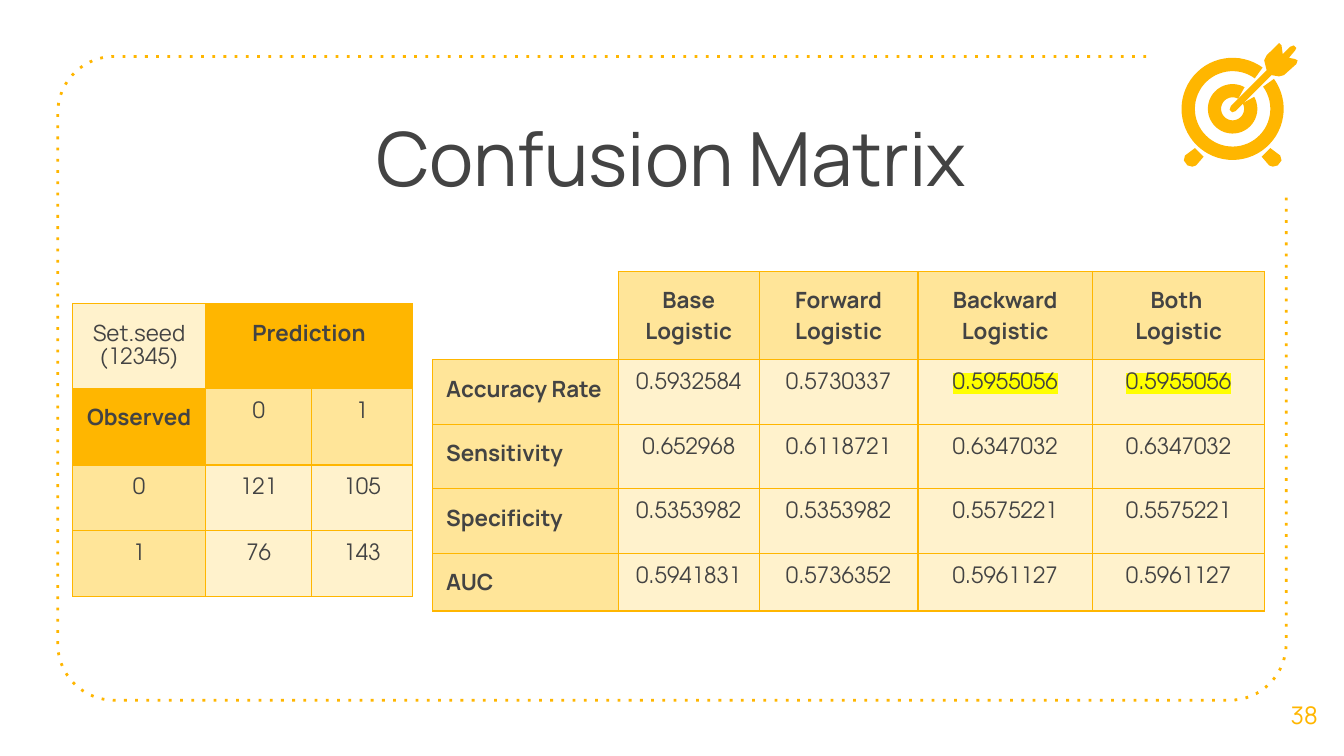
from dataclasses import dataclass
from itertools import cycle
from math import cos, radians, sin

from lxml.etree import SubElement
from pptx import Presentation
from pptx.dml.color import RGBColor
from pptx.enum.dml import MSO_LINE_DASH_STYLE as Dash
from pptx.enum.text import MSO_ANCHOR as Anchor, MSO_AUTO_SIZE as AutoSize, PP_ALIGN as Align
from pptx.oxml import parse_xml
from pptx.oxml.ns import nsdecls, qn
from pptx.util import Inches, Pt

WIDTH = 10
HEIGHT = WIDTH * 9 / 16
AMBER, SAND, CREAM, MARKER, INK = "FFB600", "FFE599", "FFF2CC", "FFFF00", "434343"
HEAD_FONT, BODY_FONT = "Manrope", "TeX Gyre Adventor"


@dataclass
class Box:
    left: float
    top: float
    width: float
    height: float

    def point(self, across, down):
        """Turn shares of the box into a position on the slide."""
        return Inches(self.left + across * self.width), Inches(self.top + down * self.height)

    def frame(self):
        return [Inches(length) for length in (self.left, self.top, self.width, self.height)]


@dataclass
class CellStyle:
    fill: str = None
    fonts: tuple = (BODY_FONT,)
    bold: bool = False
    align: Align = Align.CENTER
    marker: str = None
    sides: str = "LRTB"


STYLES = {
    "blank": CellStyle(sides="RB"),
    "seed": CellStyle(CREAM, (HEAD_FONT, BODY_FONT)),
    "axis": CellStyle(AMBER, (HEAD_FONT,), True),
    "class": CellStyle(SAND),
    "head": CellStyle(SAND, (HEAD_FONT,), True),
    "label": CellStyle(SAND, (HEAD_FONT,), True, Align.LEFT),
    "value": CellStyle(CREAM),
    "best": CellStyle(CREAM, marker=MARKER),
}


def color(value):
    return RGBColor.from_string(value)


def add_run(paragraph, text, size, font, ink, bold=False, marker=None):
    run = paragraph.add_run()
    run.text = text
    run.font.size, run.font.bold = Pt(size), bold
    run.font.color.rgb = color(ink)
    run.font.name = font
    if marker:
        highlight = parse_xml(f'<a:highlight {nsdecls("a")}><a:srgbClr val="{marker}"/></a:highlight>')
        run.font.fill._xPr.find(qn("a:solidFill")).addnext(highlight)


def set_text_frame(text_frame, anchor):
    text_frame.word_wrap = True
    text_frame.auto_size = AutoSize.NONE
    text_frame.vertical_anchor = anchor
    text_frame.margin_left = text_frame.margin_right = Inches(0.1)
    text_frame.margin_top = text_frame.margin_bottom = Inches(0.1)


def add_line_of_text(shape, box, text, size, ink, anchor):
    shape.left, shape.top, shape.width, shape.height = box.frame()
    set_text_frame(shape.text_frame, anchor)
    paragraph = shape.text_frame.paragraphs[0]
    paragraph.alignment = Align.CENTER
    add_run(paragraph, text, size, HEAD_FONT, ink)


def add_outline(shapes, box, points, close=True):
    corners = [box.point(*point) for point in points]
    builder = shapes.build_freeform(*corners[0])
    builder.add_line_segments(corners[1:], close=close)
    shape = builder.convert_to_shape()
    shape.shadow.inherit = False
    return shape


def arc(center, radius, start, end, steps=16):
    """Points along an arc in degrees; radius is a pair, across and down."""
    angles = [radians(start + (end - start) * step / steps) for step in range(steps + 1)]
    return [(center[0] + radius[0] * cos(angle), center[1] - radius[1] * sin(angle))
            for angle in angles]


def add_dotted_frame(slide, box):
    corner = across, down = 0.42 / box.width, 0.42 / box.height
    points = [(0.886, 0)]
    for center, start in (((across, down), 90), ((across, 1 - down), 180),
                          ((1 - across, 1 - down), 270)):
        points += arc(center, corner, start, start + 90)
    points.append((1, 0.217))
    frame = add_outline(slide.shapes, box, points, close=False)
    frame.fill.background()
    frame.line.color.rgb = color(AMBER)
    frame.line.width = Pt(1.5)
    frame.line.dash_style = Dash.ROUND_DOT
    next(frame._element.iter(qn("a:prstDash"))).set("val", "dot")


def add_target_icon(slide, box):
    center = (0.415, 0.533)

    def ring(outer, inner, gap):
        start, end = 45 + gap / 2, 405 - gap / 2
        return (arc(center, (outer, outer), start, end, 60)
                + arc(center, (inner, inner), end, start, 60))

    foot = [(0.11, 0.85), (0.03, 0.91), (0.02, 0.95), (0.05, 0.99),
            (0.09, 1), (0.12, 0.99), (0.18, 0.92)]
    mirrored_foot = [(2 * center[0] - across, down) for across, down in foot]
    arrow = [(0.79, 0), (0.69, 0.1), (0.67, 0.14), (0.69, 0.22), (0.4, 0.51), (0.39, 0.54),
             (0.41, 0.56), (0.44, 0.55), (0.73, 0.26), (0.79, 0.27), (0.83, 0.26),
             (0.93, 0.17), (0.94, 0.14), (0.92, 0.13), (0.87, 0.12), (0.92, 0.06),
             (0.93, 0.04), (0.91, 0.02), (0.88, 0.03), (0.82, 0.09), (0.81, 0.02)]
    group = slide.shapes.add_group_shape()
    for points in (ring(0.413, 0.305, 18), ring(0.2, 0.093, 32), foot, mirrored_foot, arrow):
        part = add_outline(group.shapes, box, points)
        part.fill.solid()
        part.fill.fore_color.rgb = color(AMBER)
        part.line.fill.background()


def set_borders(cell, sides):
    properties = cell._tc.get_or_add_tcPr()
    for side in "LRTB":
        line = SubElement(properties, qn(f"a:ln{side}"), w=str(Pt(0.75)))
        if side in sides:
            fill = SubElement(line, qn("a:solidFill"))
            SubElement(fill, qn("a:srgbClr"), val=AMBER)
        else:
            SubElement(line, qn("a:noFill"))


def fill_cell(cell, text, style):
    set_borders(cell, style.sides)
    if style.fill:
        cell.fill.solid()
        cell.fill.fore_color.rgb = color(style.fill)
    else:
        cell.fill.background()
    cell.margin_left = cell.margin_right = cell.margin_top = cell.margin_bottom = Inches(0.1)
    for index, (line, font) in enumerate(zip(text.split("\n"), cycle(style.fonts))):
        paragraph = cell.text_frame.paragraphs[0] if index == 0 else cell.text_frame.add_paragraph()
        paragraph.alignment = style.align
        if line:
            add_run(paragraph, line, 12, font, INK, style.bold, style.marker)


def add_matrix(slide, box, columns, rows, texts, kinds):
    """Place a table whose columns and rows share the box by weight."""
    table = slide.shapes.add_table(len(rows), len(columns), *box.frame()).table
    table.first_row = table.horz_banding = False
    for column, weight in zip(table.columns, columns):
        column.width = Inches(box.width * weight / sum(columns))
    for row, weight in zip(table.rows, rows):
        row.height = Inches(box.height * weight / sum(rows))
    for row, (row_texts, row_kinds) in enumerate(zip(texts, kinds)):
        for column, (text, kind) in enumerate(zip(row_texts, row_kinds.split())):
            fill_cell(table.cell(row, column), text, STYLES[kind])
    return table


def add_prediction_table(slide, box):
    texts = [["Set.seed\n(12345)", "Prediction", ""], ["Observed", "0", "1"],
             ["0", "121", "105"], ["1", "76", "143"]]
    kinds = ["seed axis axis", "axis class class"] + ["class value value"] * 2
    table = add_matrix(slide, box, (99, 79, 75), (63, 57, 49, 49), texts, kinds)
    table.cell(0, 1).merge(table.cell(0, 2))


def add_model_table(slide, box):
    texts = [
        ["", "Base Logistic", "Forward Logistic", "Backward Logistic", "Both \nLogistic"],
        ["Accuracy Rate", "0.5932584", "0.5730337", "0.5955056", "0.5955056"],
        ["Sensitivity", "0.652968", "0.6118721", "0.6347032", "0.6347032"],
        ["Specificity", "0.5353982", "0.5353982", "0.5575221", "0.5575221"],
        ["AUC", "0.5941831", "0.5736352", "0.5961127", "0.5961127"],
    ]
    kinds = ["blank head head head head", "label value value best best"]
    kinds += ["label value value value value"] * 3
    add_matrix(slide, box, (138, 105, 118, 130, 128), (57, 48, 48, 48, 38), texts, kinds)


def main():
    presentation = Presentation()
    presentation.slide_width, presentation.slide_height = Inches(WIDTH), Inches(HEIGHT)
    slide = presentation.slides.add_slide(presentation.slide_layouts[5])
    add_dotted_frame(slide, Box(0.43, 0.42, 9.14, 4.79))
    add_line_of_text(slide.shapes.title, Box(0.87, 0.73, 8.25, 0.94),
                     "Confusion Matrix", 40, INK, Anchor.TOP)
    number_box = Box(9.41, 5.02, 0.59, 0.6)
    add_line_of_text(slide.shapes.add_textbox(*number_box.frame()), number_box,
                     "38", 13, AMBER, Anchor.MIDDLE)
    add_prediction_table(slide, Box(0.54, 2.26, 2.53, 2.18))
    add_target_icon(slide, Box(8.79, 0.32, 0.92, 0.92))
    add_model_table(slide, Box(3.22, 2.02, 6.19, 2.39))
    presentation.save("out.pptx")


if __name__ == "__main__":
    main()
